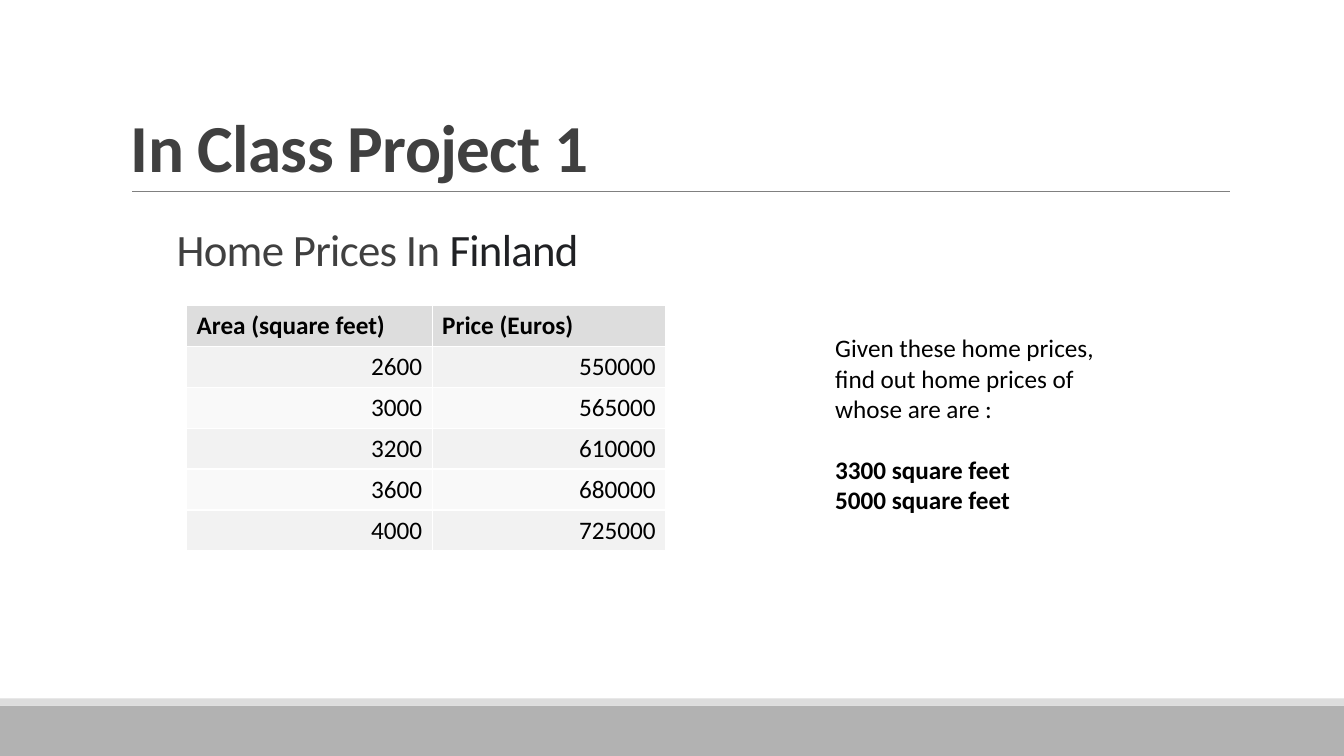
"""Build the home prices project slide with its price table and task."""
from lxml.etree import SubElement
from pptx import Presentation
from pptx.dml.color import RGBColor
from pptx.enum.shapes import MSO_CONNECTOR, MSO_SHAPE
from pptx.enum.text import MSO_ANCHOR, PP_ALIGN
from pptx.oxml.ns import qn
from pptx.util import Cm, Pt

COLORS = {
    "footer": "B2B2B2",
    "header": "DDDDDD",
    "rule": "808080",
    "heading": "404040",
    "country": "202124",
    "text": "000000",
    "odd_row": "F2F2F2",
    "even_row": "F9F9F9",
}


def add_run(paragraph, text, size, color, bold=False, spacing=0):
    run = paragraph.add_run()
    run.text = text
    run.font.name = "Calibri"
    run.font.size = Pt(size)
    run.font.bold = bold
    run.font.color.rgb = RGBColor.from_string(COLORS[color])
    if spacing:
        run._r.get_or_add_rPr().set("spc", str(spacing))


def add_text_frame(slide, left, top, width, height, anchor, wrap):
    box = slide.shapes.add_textbox(Cm(left), Cm(top), Cm(width), Cm(height))
    box.text_frame.word_wrap = wrap
    box.text_frame.vertical_anchor = anchor
    return box.text_frame


presentation = Presentation()
presentation.slide_width = Cm(33.87)
presentation.slide_height = Cm(19.05)
slide = presentation.slides.add_slide(presentation.slide_layouts[6])

for top, height, color in [(17.78, 1.27, "footer"), (17.6, 0.18, "header")]:
    band = slide.shapes.add_shape(
        MSO_SHAPE.RECTANGLE, 0, Cm(top), presentation.slide_width, Cm(height))
    band.shadow.inherit = False
    band.fill.solid()
    band.fill.fore_color.rgb = RGBColor.from_string(COLORS[color])
    band.line.fill.background()

rule = slide.shapes.add_connector(
    MSO_CONNECTOR.STRAIGHT, Cm(3.33), Cm(4.82), Cm(31), Cm(4.82))
rule.line.color.rgb = RGBColor.from_string(COLORS["rule"])
rule.line.width = Pt(0.5)
SubElement(rule._element.spPr, qn("a:effectLst"))

headings = [
    ((3.05, 0.79, 27.94, 4.04), 48, True, [("In Class Project 1", "heading")]),
    ((4.2, 5.08, 18.34, 1.98), 32, False,
     [("Home Prices In ", "heading"), ("Finland", "country")]),
]
for bounds, size, bold, runs in headings:
    paragraph = add_text_frame(slide, *bounds, MSO_ANCHOR.BOTTOM, True).paragraphs[0]
    paragraph.line_spacing = 0.85
    for text, color in runs:
        add_run(paragraph, text, size, color, bold, spacing=-50)

prices = [
    ("Area (square feet)", "Price (Euros)"),
    ("2600", "550000"),
    ("3000", "565000"),
    ("3200", "610000"),
    ("3600", "680000"),
    ("4000", "725000"),
]
column_widths = [6.19, 5.89]
row_height = 1.03
table = slide.shapes.add_table(
    len(prices), len(column_widths), Cm(4.7), Cm(7.7),
    Cm(sum(column_widths)), Cm(row_height * len(prices))).table
for column, width in zip(table.columns, column_widths):
    column.width = Cm(width)
for row_index, values in enumerate(prices):
    is_header = row_index == 0
    fill = "header" if is_header else "odd_row" if row_index % 2 else "even_row"
    for column_index, value in enumerate(values):
        cell = table.cell(row_index, column_index)
        cell.fill.solid()
        cell.fill.fore_color.rgb = RGBColor.from_string(COLORS[fill])
        paragraph = cell.text_frame.paragraphs[0]
        paragraph.alignment = PP_ALIGN.LEFT if is_header else PP_ALIGN.RIGHT
        add_run(paragraph, value, 18, "text", is_header)

task_lines = [
    ("Given these home prices,", False, 0),
    ("find out home prices of", False, 0),
    ("whose are are :", False, 0),
    ("3300 square feet", True, 22),
    ("5000 square feet", True, 0),
]
task = add_text_frame(slide, 20.8, 8.26, 7.26, 4.88, MSO_ANCHOR.TOP, False)
for index, (text, bold, space_before) in enumerate(task_lines):
    paragraph = task.add_paragraph() if index else task.paragraphs[0]
    paragraph.space_before = Pt(space_before)
    add_run(paragraph, text, 18, "text", bold)

presentation.save("out.pptx")
